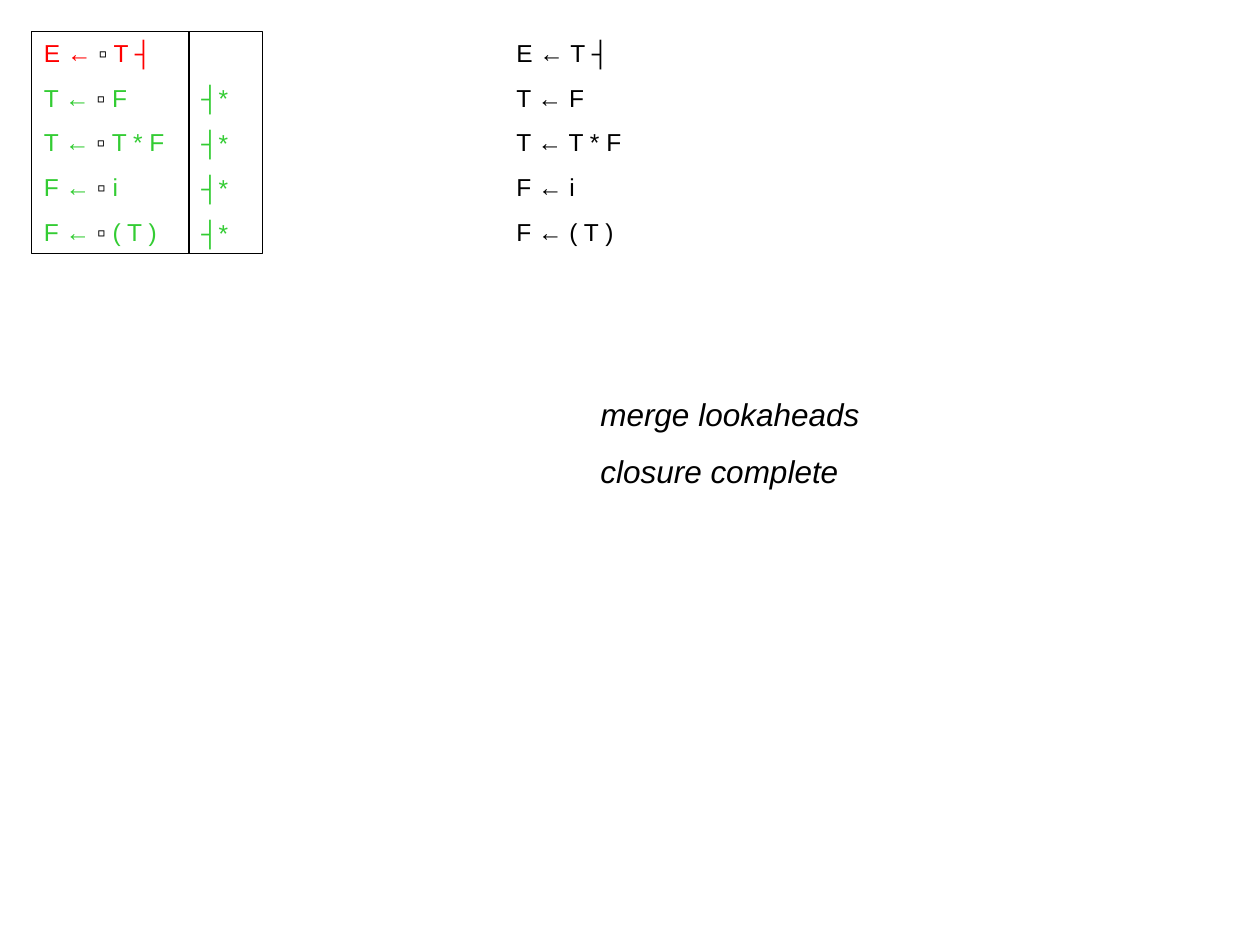
"""Build the slide showing a parser item set beside its grammar."""
from dataclasses import dataclass

import pptx
import pptx.dml.color
import pptx.enum.shapes
import pptx.enum.text
import pptx.util

PX = 9525
COLORS = {"black": "000000", "red": "FF0000", "green": "33CC33"}
DOT = "▫"
ANCHOR = pptx.enum.text.MSO_ANCHOR
FIT = pptx.enum.text.MSO_AUTO_SIZE


@dataclass(frozen=True)
class Box:
    left: int
    top: int
    width: int
    height: int
    lines: tuple[tuple[str, str], ...]
    size: int = 14
    gap: float = 8.8
    italic: bool = False
    framed: bool = False
    low: bool = False


def paint(name: str) -> pptx.dml.color.RGBColor:
    return pptx.dml.color.RGBColor.from_string(COLORS[name])


def tint(color: str, *texts: str) -> tuple[tuple[str, str], ...]:
    return tuple((text, color) for text in texts)


def write(para, text: str, *, color: str, size: int, gap: float, italic: bool) -> None:
    para.alignment = pptx.enum.text.PP_ALIGN.LEFT
    para.space_before = pptx.util.Pt(gap)
    for part in text.partition(DOT):
        if part:
            run = para.add_run()
            run.text = part
            run.font.name = "Arial"
            run.font.size = pptx.util.Pt(size)
            run.font.italic = italic
            run.font.color.rgb = paint("black" if part == DOT else color)


def draw(slide, box: Box) -> None:
    place = [n * PX for n in (box.left, box.top, box.width, box.height)]
    if box.framed:
        kind = pptx.enum.shapes.MSO_SHAPE.RECTANGLE
        shape = slide.shapes.add_shape(kind, *place)
        shape.shadow.inherit = False
        shape.fill.background()
        shape.line.color.rgb = paint("black")
        shape.line.width = pptx.util.Pt(0.75)
    else:
        shape = slide.shapes.add_textbox(*place)
    frame = shape.text_frame
    frame.word_wrap = True
    frame.vertical_anchor = ANCHOR.BOTTOM if box.low else ANCHOR.TOP
    frame.auto_size = FIT.NONE if box.low else FIT.SHAPE_TO_FIT_TEXT
    for i, (text, color) in enumerate(box.lines):
        para = frame.add_paragraph() if i else frame.paragraphs[0]
        write(para, text, color=color, size=box.size,
              gap=box.gap if i else 0, italic=box.italic)


RULES = ("E ← T ┤", "T ← F", "T ← T * F", "F ← i", "F ← ( T )")
ITEMS = tuple(rule.replace("← ", f"← {DOT} ") for rule in RULES)
BOXES = (
    Box(384, 24, 136, 169, tint("black", *RULES)),
    Box(24, 24, 120, 169, tint("red", ITEMS[0]) + tint("green", *ITEMS[1:]),
        framed=True),
    Box(448, 296, 248, 83, tint("black", "merge lookaheads", "closure complete"),
        size=18, gap=11.2, italic=True),
    Box(144, 24, 56, 169, tint("green", *["┤*"] * 4), framed=True, low=True),
)


def main() -> None:
    deck = pptx.Presentation()
    deck.slide_width = 960 * PX
    deck.slide_height = 720 * PX
    slide = deck.slides.add_slide(deck.slide_layouts[6])
    for box in BOXES:
        draw(slide, box)
    deck.save("out.pptx")


if __name__ == "__main__":
    main()
